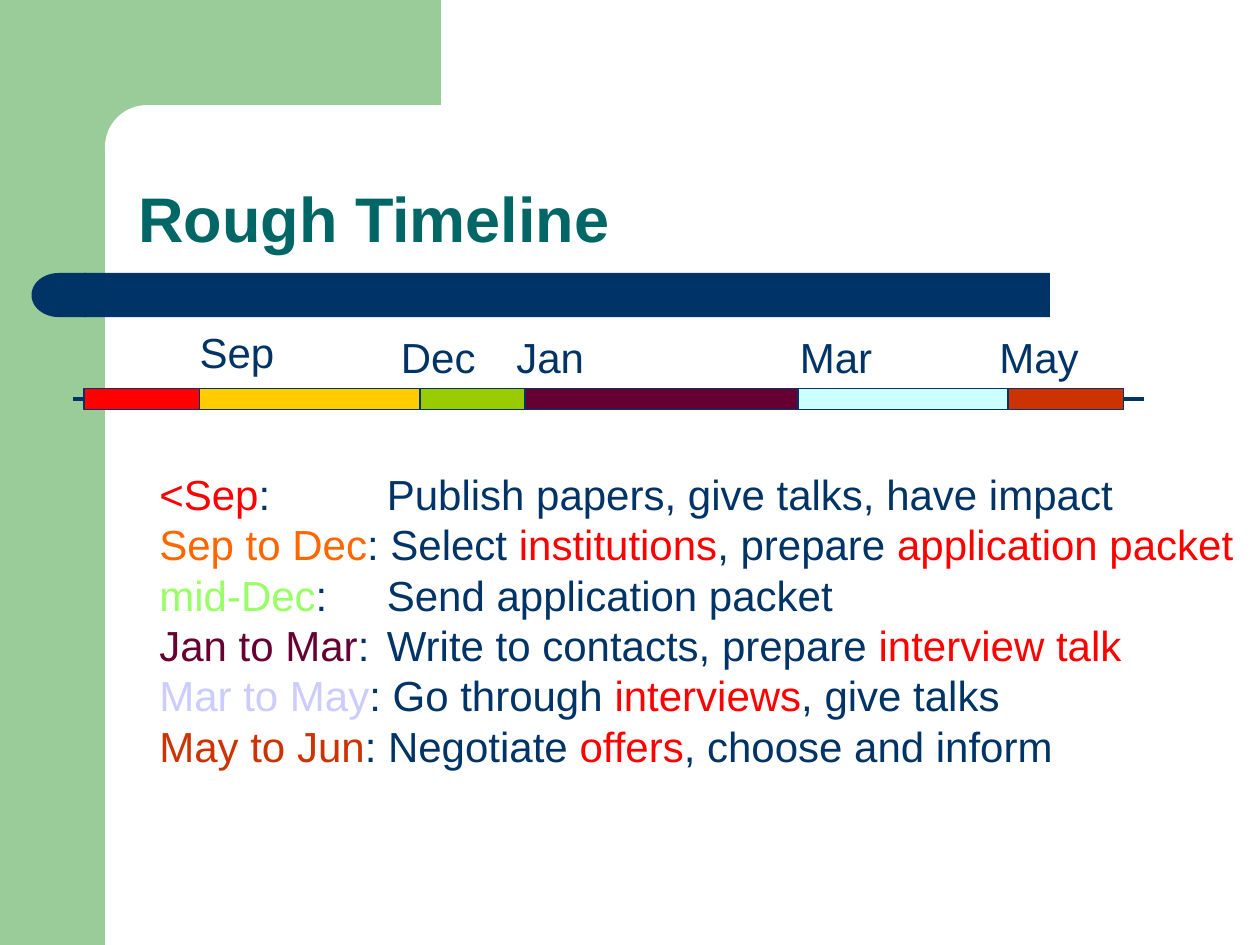
from dataclasses import dataclass

import pptx
import pptx.dml.color
import pptx.enum.shapes
import pptx.enum.text
import pptx.util
from lxml import etree

Pt = pptx.util.Pt
Shape = pptx.enum.shapes.MSO_SHAPE
Anchor = pptx.enum.text.MSO_ANCHOR
Fit = pptx.enum.text.MSO_AUTO_SIZE


@dataclass(frozen=True)
class Theme:
    face: str = "Arial"
    head: int = 36
    text: int = 24
    white: str = "FFFFFF"
    sage: str = "99CC99"
    teal: str = "006666"
    navy: str = "003366"
    red: str = "FF0000"
    gold: str = "FFCC00"
    orange: str = "FF6600"
    green: str = "99CC00"
    lime: str = "99FF66"
    plum: str = "660033"
    ice: str = "CCFFFF"
    lilac: str = "CCCCFF"
    rust: str = "CC3300"


LOOK = Theme()
STOP = 130  # where the tabbed tasks start

# Fill of each span and the point where it ends
START = 48
SPANS = [(LOOK.red, 114), (LOOK.gold, 240), (LOOK.green, 300),
         (LOOK.plum, 456), (LOOK.ice, 576), (LOOK.rust, 642)]

# Month, left, top, width
MONTHS = [("Sep", 107, 182.9, 58), ("Dec", 222, 185.8, 58),
          ("Jan", 288, 185.8, 55), ("Mar", 450, 185.8, 58),
          ("May", 564, 185.8, 61)]

# Each row is a list of (words, colour)
ROWS = [
    [("<Sep", LOOK.red),
     (":\tPublish papers, give talks, have impact", LOOK.navy)],
    [("Sep to Dec", LOOK.orange), (": Select ", LOOK.navy),
     ("institutions", LOOK.red), (", prepare ", LOOK.navy),
     ("application packet", LOOK.red)],
    [("mid-Dec", LOOK.lime), (":\tSend application packet", LOOK.navy)],
    [("Jan to Mar", LOOK.plum),
     (":\tWrite to contacts, prepare ", LOOK.navy),
     ("interview talk", LOOK.red)],
    [("Mar to May", LOOK.lilac), (": Go through ", LOOK.navy),
     ("interviews", LOOK.red), (", give talks", LOOK.navy)],
    [("May to Jun", LOOK.rust), (": Negotiate ", LOOK.navy),
     ("offers", LOOK.red), (", choose and inform", LOOK.navy)],
]


def style(item, **values):
    for name, value in values.items():
        setattr(item, name, value)


def tint(code):
    return pptx.dml.color.RGBColor.from_string(code)


def block(slide, kind, box, fill, edge=None):
    shape = slide.shapes.add_shape(kind, *map(Pt, box))
    shape.shadow.inherit = False
    shape.fill.solid()
    shape.fill.fore_color.rgb = tint(fill)
    if edge:
        shape.line.color.rgb = tint(edge)
        shape.line.width = Pt(0.75)
    else:
        shape.line.fill.background()
    return shape


def axis(slide, left, right, y):
    line = slide.shapes.add_connector(
        pptx.enum.shapes.MSO_CONNECTOR.STRAIGHT,
        Pt(left), Pt(y), Pt(right), Pt(y))
    line.line.color.rgb = tint(LOOK.navy)
    line.line.width = Pt(2.25)
    etree.SubElement(line._element.spPr, pptx.oxml.ns.qn("a:effectLst"))


def tab(para, place):
    """Add a left tab stop."""
    stops = etree.SubElement(para._p.get_or_add_pPr(),
                             pptx.oxml.ns.qn("a:tabLst"))
    etree.SubElement(stops, pptx.oxml.ns.qn("a:tab"),
                     pos=str(Pt(place)), algn="l")


def label(slide, box, rows, size=LOOK.text, bold=False, **frame):
    """Add a text box; each row is a list of (words, colour)."""
    body = slide.shapes.add_textbox(*map(Pt, box)).text_frame
    base = {"word_wrap": False, "auto_size": Fit.SHAPE_TO_FIT_TEXT}
    style(body, **{**base, **frame})
    for index, row in enumerate(rows):
        para = body.add_paragraph() if index else body.paragraphs[0]
        for words, code in row:
            run = para.add_run()
            run.text = words
            style(run.font, name=LOOK.face, size=Pt(size), bold=bold)
            run.font.color.rgb = tint(code)
            if "\t" in words:
                tab(para, STOP)
    return body


def frame(slide):
    block(slide, Shape.RECTANGLE, (0, 0, 60, 540), LOOK.sage)
    block(slide, Shape.RECTANGLE, (54, 0, 198, 84), LOOK.sage)
    panel = block(slide, Shape.ROUNDED_RECTANGLE, (60, 60, 402, 48),
                  LOOK.white)
    panel.adjustments[0] = 0.5
    block(slide, Shape.RECTANGLE, (48, 156, 552, 25.2), LOOK.navy)
    cap = block(slide, Shape.FLOWCHART_DELAY, (18, 156, 31, 25.2), LOOK.navy)
    cap.rotation = 180


def title(slide):
    body = label(slide, (72, 60, 630, 90), [[("Rough Timeline", LOOK.teal)]],
                 LOOK.head, True, word_wrap=True, auto_size=Fit.NONE,
                 vertical_anchor=Anchor.BOTTOM)
    body.paragraphs[0].line_spacing = 0.9


def timeline(slide):
    axis(slide, 42, 654, 228)
    left = START
    for fill, right in SPANS:
        block(slide, Shape.RECTANGLE, (left, 222, right - left, 12),
              fill, LOOK.navy)
        left = right
    for name, left, top, width in MONTHS:
        label(slide, (left, top, width, 36), [[(name, LOOK.navy)]])


def main():
    deck = pptx.Presentation()
    style(deck, slide_width=Pt(720), slide_height=Pt(540))
    slide = deck.slides.add_slide(deck.slide_layouts[6])
    frame(slide)
    title(slide)
    timeline(slide)
    label(slide, (84, 264, 628, 209), ROWS)
    deck.save("out.pptx")


if __name__ == "__main__":
    main()
